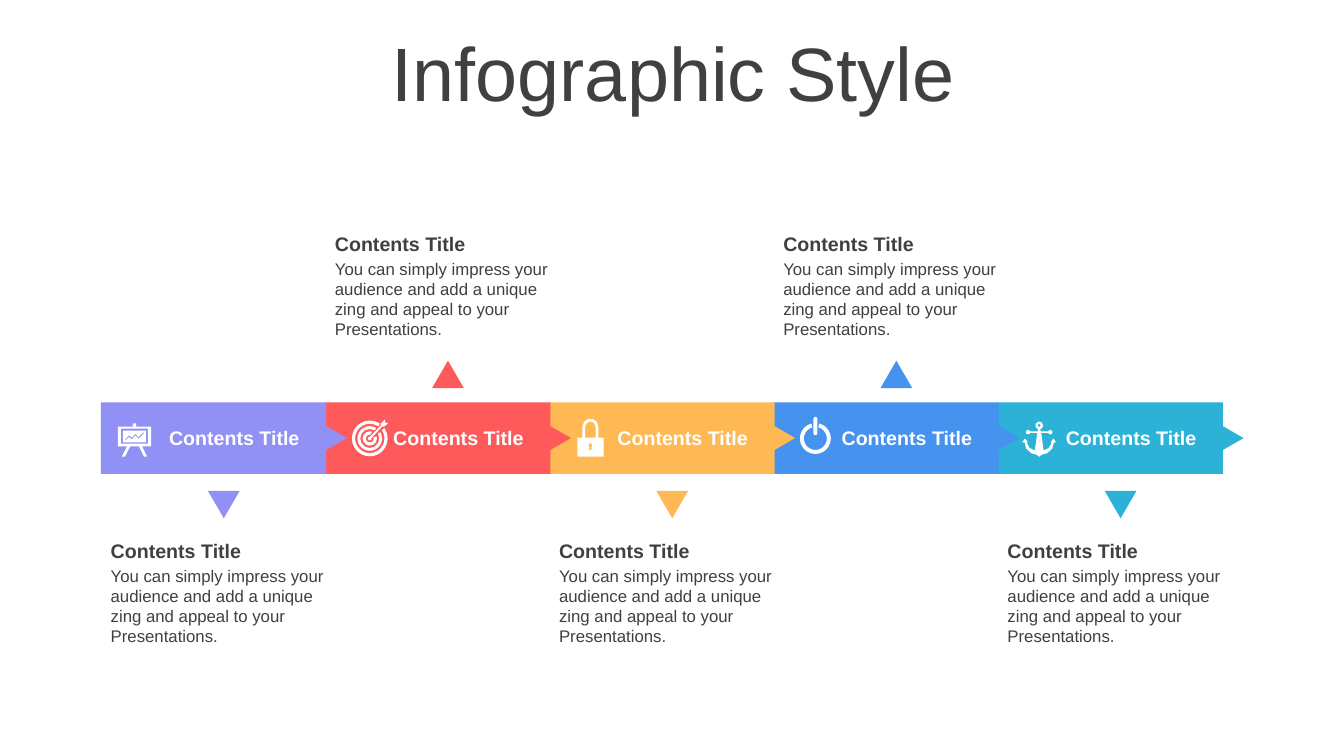
from math import acos, ceil, cos, degrees, radians, sin

from pptx import Presentation
from pptx.dml.color import RGBColor
from pptx.enum.shapes import MSO_SHAPE as Shape
from pptx.enum.text import MSO_ANCHOR as Anchor, MSO_AUTO_SIZE as AutoSize, PP_ALIGN as Align
from pptx.util import Cm, Pt

COLORS = {"text": "404040", "white": "FFFFFF", "violet": "9191F5", "red": "FE5A5B",
          "orange": "FFB954", "blue": "4592EF", "teal": "2CB2D7"}
FONT = "Arial"
HEADING = "Contents Title"
BODY = ("You can simply impress your audience and add a unique zing "
        "and appeal to your Presentations.")

# Timeline geometry in cm
BAR_LEFT, BAR_TOP, BAR_PITCH = 2.54, 10.14, 5.65
BAR_W, BAR_H, TIP_W = 5.68, 1.8, 6.2
ICON_Y = 11.05


# Outlines in cm, with y pointing down and angles in degrees
def arc(cx, cy, r, start, end):
    """Points on an arc, close enough to stay within 0.01 cm of it."""
    steps = ceil(abs(end - start) / degrees(2 * acos(1 - 0.01 / r)))
    angles = [radians(start + (end - start) * i / steps) for i in range(steps + 1)]
    return [(cx + r * cos(a), cy + r * sin(a)) for a in angles]


def box(left, top, right, bottom):
    return [(left, top), (right, top), (right, bottom), (left, bottom)]


def mirror(points):
    return [(-x, y) for x, y in reversed(points)]


def board_icon():
    leg = [(0.19, 0.2), (0.32, 0.46), (0.24, 0.46), (0.11, 0.2)]
    line = [(-0.23, 0.02), (-0.14, -0.08), (-0.06, -0.02), (0.02, -0.12),
            (0.1, -0.03), (0.23, -0.16)]
    graph = line + [(x, y + 0.04) for x, y in reversed(line)]
    return [box(-0.42, -0.3, 0.42, 0.2), box(-0.34, -0.25, 0.34, 0.13),
            box(-0.29, -0.2, 0.29, 0.1), graph, box(-0.04, -0.38, 0.04, -0.3),
            leg, mirror(leg)]


def target_arrow():
    return [arc(0, 0, 0.05, -15, 285) + [
        (0.28, -0.33), (0.28, -0.38), (0.38, -0.48), (0.38, -0.41),
        (0.46, -0.38), (0.36, -0.3), (0.31, -0.3)]]


def lock_icon():
    shackle = (arc(0, -0.3, 0.2, 180, 360) + [(0.2, -0.02), (0.13, -0.02)]
               + arc(0, -0.3, 0.13, 360, 180) + [(-0.13, -0.02), (-0.2, -0.02)])
    keyhole = arc(0, 0.17, 0.05, 120, 420) + [(0.04, 0.28), (-0.04, 0.28)]
    return [shackle, box(-0.33, -0.02, 0.33, 0.46), keyhole]


def power_switch():
    return [arc(0, -0.5, 0.05, 180, 360) + arc(0, -0.13, 0.05, 0, 180)]


def anchor_icon():
    right = [(0.03, -0.23), (0.04, -0.18), (0.22, -0.18)]
    right += arc(0.28, -0.16, 0.06, 200, 520)
    right += [(0.05, -0.14), (0.11, 0.3), (0.24, 0.24), (0.32, 0.1), (0.28, 0.1),
              (0.36, 0), (0.43, 0.1), (0.37, 0.1), (0.33, 0.25), (0.2, 0.37),
              (0.06, 0.41), (0, 0.46)]
    return [arc(0, -0.33, 0.1, 0, 360), arc(0, -0.33, 0.04, 0, 360),
            right + mirror(right)]


# Open rings: outer radius, inner radius, gap direction, half of the gap angle
TARGET_RINGS = [(0.45, 0.37, 315, 10), (0.31, 0.24, 315, 14), (0.18, 0.1, 315, 28)]
POWER_RINGS = [(0.39, 0.29, 270, 15)]

# Steps: colour, icon outline, icon rings, icon centre from the bar's left edge
STEPS = [("violet", board_icon, [], 0.85), ("red", target_arrow, TARGET_RINGS, 1.13),
         ("orange", lock_icon, [], 1.04), ("blue", power_switch, POWER_RINGS, 1.06),
         ("teal", anchor_icon, [], 1.05)]


def rgb(name):
    return RGBColor.from_string(COLORS[name])


def paint(shape, color):
    shape.fill.solid()
    shape.fill.fore_color.rgb = rgb(color)
    shape.line.fill.background()
    shape.shadow.inherit = False


def set_font(p, size, color, bold=False):
    p.font.name, p.font.size, p.font.bold = FONT, Pt(size), bold
    p.font.color.rgb = rgb(color)


def add_outline(s, x, y, contours, color):
    placed = [[(Cm(x + px), Cm(y + py)) for px, py in points] for points in contours]
    builder = s.shapes.build_freeform(*placed[0][0])
    for i, points in enumerate(placed):
        if i:
            builder.move_to(*points[0])
        builder.add_line_segments(points[1:], close=True)
    paint(builder.convert_to_shape(), color)


def add_ring(s, x, y, outer, inner, direction, half_gap):
    ring = s.shapes.add_shape(Shape.BLOCK_ARC, Cm(x - outer), Cm(y - outer),
                              Cm(2 * outer), Cm(2 * outer))
    # One degree is 0.6 in the units of an angle adjustment
    ring.adjustments[0] = (direction + half_gap) % 360 * 0.6
    ring.adjustments[1] = (direction - half_gap) % 360 * 0.6
    ring.adjustments[2] = (outer - inner) / (2 * outer)
    paint(ring, "white")


def add_text(s, x, y, w, h, text, size, color, bold=False):
    tf = s.shapes.add_textbox(Cm(x), Cm(y), Cm(w), Cm(h)).text_frame
    tf.word_wrap = True
    tf.auto_size = AutoSize.SHAPE_TO_FIT_TEXT
    p = tf.paragraphs[0]
    p.text = text
    set_font(p, size, color, bold)


def add_title(s, text):
    title = s.shapes.title
    title.left, title.top, title.width, title.height = Cm(0.89), Cm(0.94), Cm(32.16), Cm(2)
    tf = title.text_frame
    tf.text = text
    tf.vertical_anchor = Anchor.MIDDLE
    tf.auto_size = AutoSize.NONE
    p = tf.paragraphs[0]
    p.alignment, p.line_spacing = Align.CENTER, 0.9
    set_font(p, 54, "text")


def add_bar(s, x, color):
    bar = [(0, 0), (BAR_W, 0), (BAR_W, 0.6), (TIP_W, 0.9), (BAR_W, 1.2),
           (BAR_W, BAR_H), (0, BAR_H)]
    add_outline(s, x, BAR_TOP, [bar], color)


def add_callout(s, x, above, color):
    pointer_y, heading_y = (9.09, 5.72) if above else (12.37, 13.46)
    pointer = s.shapes.add_shape(Shape.ISOSCELES_TRIANGLE, Cm(x + 2.7), Cm(pointer_y),
                                 Cm(0.8), Cm(0.69))
    pointer.rotation = 0 if above else 180
    paint(pointer, color)
    add_text(s, x, heading_y, TIP_W, 0.86, HEADING, 14, "text", True)
    add_text(s, x, heading_y + 0.67, TIP_W, 2.31, BODY, 12, "text")


def main():
    prs = Presentation()
    prs.slide_width, prs.slide_height = Cm(33.87), Cm(19.05)
    s = prs.slides.add_slide(prs.slide_layouts[5])
    add_title(s, "Infographic Style")

    # Bars from right to left, so that each tip lies over the next bar
    lefts = [BAR_LEFT + i * BAR_PITCH for i in range(len(STEPS))]
    for x, step in reversed(list(zip(lefts, STEPS))):
        add_bar(s, x, step[0])

    # Icons, labels and alternating callouts
    for i, (x, (color, icon, rings, icon_dx)) in enumerate(zip(lefts, STEPS)):
        for ring in rings:
            add_ring(s, x + icon_dx, ICON_Y, *ring)
        add_outline(s, x + icon_dx, ICON_Y, icon(), "white")
        add_text(s, x + 1.47, 10.62, 3.84, 0.86, HEADING, 14, "white", True)
        add_callout(s, x, i % 2 == 1, color)

    prs.save("out.pptx")


if __name__ == "__main__":
    main()
